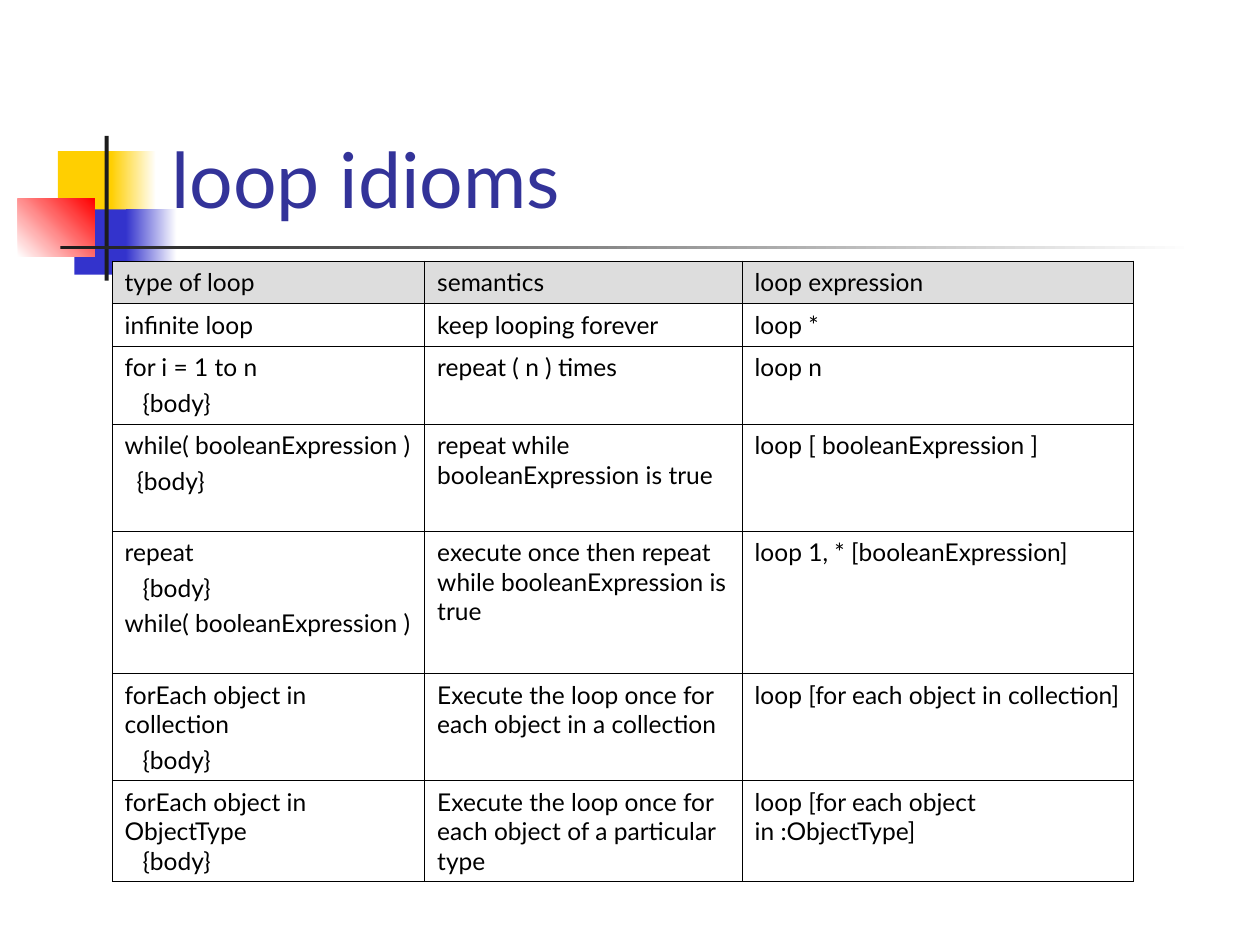
"""Build the loop idioms slide."""
from lxml import etree
from pptx import Presentation
from pptx.dml.color import RGBColor
from pptx.enum.shapes import MSO_SHAPE
from pptx.enum.text import MSO_ANCHOR, PP_ALIGN
from pptx.oxml.ns import qn
from pptx.util import Cm, Pt

RECT = MSO_SHAPE.RECTANGLE
LOW, TOP = MSO_ANCHOR.BOTTOM, MSO_ANCHOR.TOP
LEFT = PP_ALIGN.LEFT
GOLD = RGBColor(0xFF, 0xCF, 0x01)
BLUE = RGBColor(0x33, 0x33, 0xCC)
NAVY = RGBColor(0x33, 0x33, 0x99)
RED = RGBColor(0xFF, 0, 0)
DARK = RGBColor(0x1C, 0x1C, 0x1C)
GREY = RGBColor(0xDD, 0xDD, 0xDD)
WHITE = RGBColor(0xFF, 0xFF, 0xFF)
BLACK = RGBColor(0, 0, 0)
SPACE = 0.12

BLOCKS = [
    ((1.17, 3.05, 1.22, 1.32), GOLD, None, 0),
    ((2.24, 3.05, 0.91, 1.32), GOLD, WHITE, 0),
    ((1.5, 4.22, 1.17, 1.32), BLUE, None, 0),
    ((2.54, 4.22, 1.02, 1.32), BLUE, WHITE, 0),
    ((0.36, 4.01, 1.55, 1.17), WHITE, RED, 45),
    ((2.11, 2.74, 0.08, 2.92), DARK, None, 0),
    ((1.22, 4.95, 22.86, 0.08), DARK, WHITE, 0),
]
COLS = [6.3, 6.4, 7.88]
ROWS = [0.86, 0.86, 1.57, 2.16, 2.87, 2.16, 2.03]
CELLS = [
    ["type of loop", "semantics", "loop expression"],
    ["infinite loop", "keep looping forever", "loop *"],
    ["for i = 1 to n\n   {body}", "repeat ( n ) times", "loop n"],
    ["while( booleanExpression )\n  {body}",
     "repeat while booleanExpression is true",
     "loop [ booleanExpression ]"],
    ["repeat\n   {body}\nwhile( booleanExpression )",
     "execute once then repeat while booleanExpression is true",
     "loop 1, * [booleanExpression]"],
    ["forEach object in collection\n   {body}",
     "Execute the loop once for each object in a collection",
     "loop [for each object in collection]"],
    ["forEach object in ObjectType\n   {body}",
     "Execute the loop once for each object of a particular type",
     "loop [for each object in :ObjectType]"],
]


def write(frame, text, size=14, color=BLACK, before=3.5, gap=3.5):
    """Fill a frame line by line, turning leading spaces into indents."""
    for n, line in enumerate(text.split("\n")):
        para = frame.add_paragraph() if n else frame.paragraphs[0]
        word = line.lstrip()
        para.alignment = LEFT
        para.space_before = Pt(gap if n else before)
        if word != line:
            inset = Cm(SPACE * (len(line) - len(word)))
            para._p.get_or_add_pPr().set("marL", str(inset))
        run = para.add_run()
        run.text = word
        run.font.name = "Lato"
        run.font.size = Pt(size)
        run.font.color.rgb = color


def border(cell):
    """Draw a thin black line on each side of a cell."""
    props = cell._tc.get_or_add_tcPr()
    for n, side in enumerate("LRTB"):
        line = etree.Element(qn(f"a:ln{side}"), w=str(Pt(0.45)))
        fill = etree.SubElement(line, qn("a:solidFill"))
        etree.SubElement(fill, qn("a:srgbClr"), val=str(BLACK))
        props.insert(n, line)


class Deck:
    """Hold the style and the current slide."""

    def __init__(self):
        self.prs = Presentation()
        self.prs.slide_width, self.prs.slide_height = Cm(25.4), Cm(19.05)
        self.slide = self.prs.slides.add_slide(self.prs.slide_layouts[5])

    def title(self, text, box):
        shape = self.slide.shapes.title
        shape.left, shape.top, shape.width, shape.height = map(Cm, box)
        shape.text_frame.vertical_anchor = LOW
        write(shape.text_frame, text, size=44, color=NAVY, before=0)

    def block(self, box, color, fade, angle):
        shape = self.slide.shapes.add_shape(RECT, *map(Cm, box))
        shape.shadow.inherit = False
        shape.line.fill.background()
        if fade is None:
            shape.fill.solid()
            shape.fill.fore_color.rgb = color
            return
        shape.fill.gradient()
        shape.fill.gradient_angle = angle
        for stop, tone in zip(shape.fill.gradient_stops, (color, fade)):
            stop.color.rgb = tone

    def table(self, left, top):
        size = Cm(sum(COLS)), Cm(sum(ROWS))
        grid = self.slide.shapes.add_table(
            len(ROWS), len(COLS), Cm(left), Cm(top), *size).table
        grid.first_row = grid.horz_banding = False
        for col, width in zip(grid.columns, COLS):
            col.width = Cm(width)
        for n, (row, height) in enumerate(zip(grid.rows, ROWS)):
            row.height = Cm(height)
            gap = 0 if n == len(ROWS) - 1 else 3.5
            for cell, text in zip(row.cells, CELLS[n]):
                cell.vertical_anchor = TOP
                if n:
                    cell.fill.background()
                else:
                    cell.fill.solid()
                    cell.fill.fore_color.rgb = GREY
                border(cell)
                write(cell.text_frame, text, gap=gap)


def main():
    """Build and save the slide."""
    deck = Deck()
    for block in BLOCKS:
        deck.block(*block)
    deck.title("loop idioms", (3.2, 0.58, 21.64, 4.06))
    deck.table(2.26, 5.26)
    deck.prs.save("out.pptx")


if __name__ == "__main__":
    main()
